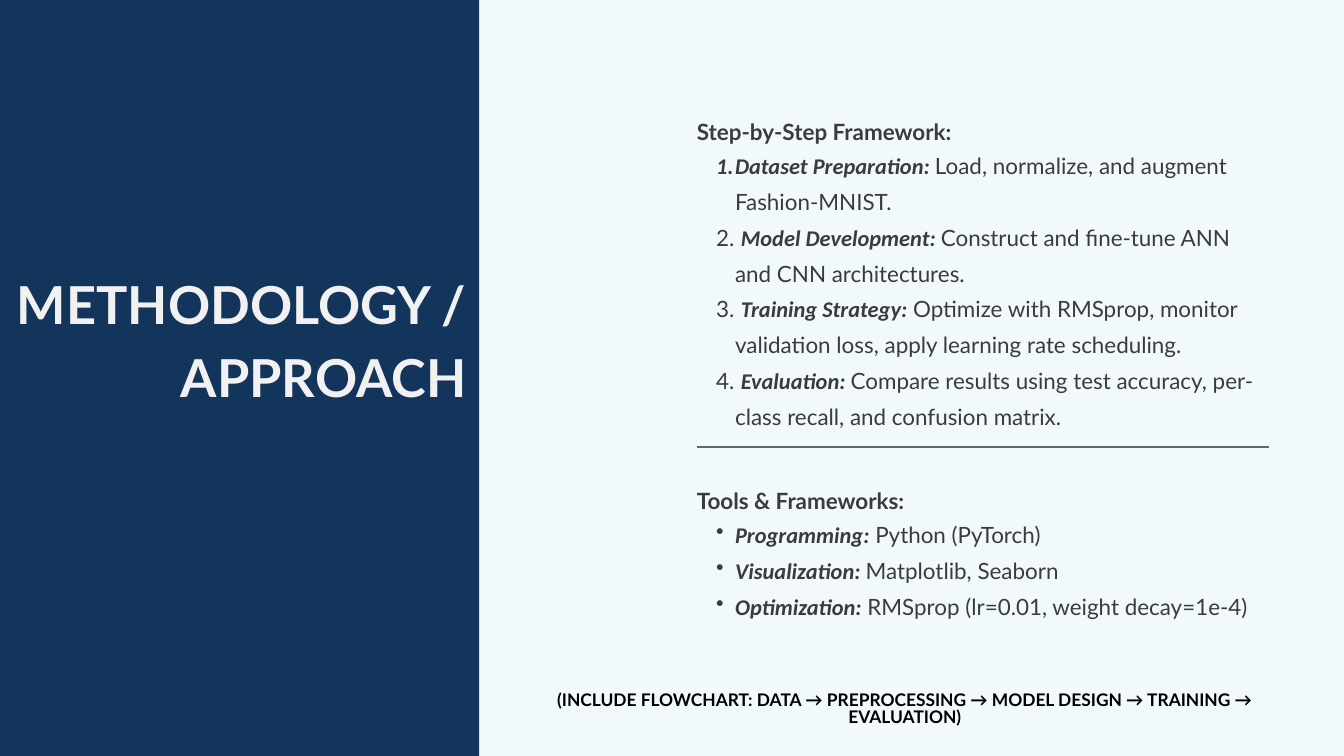
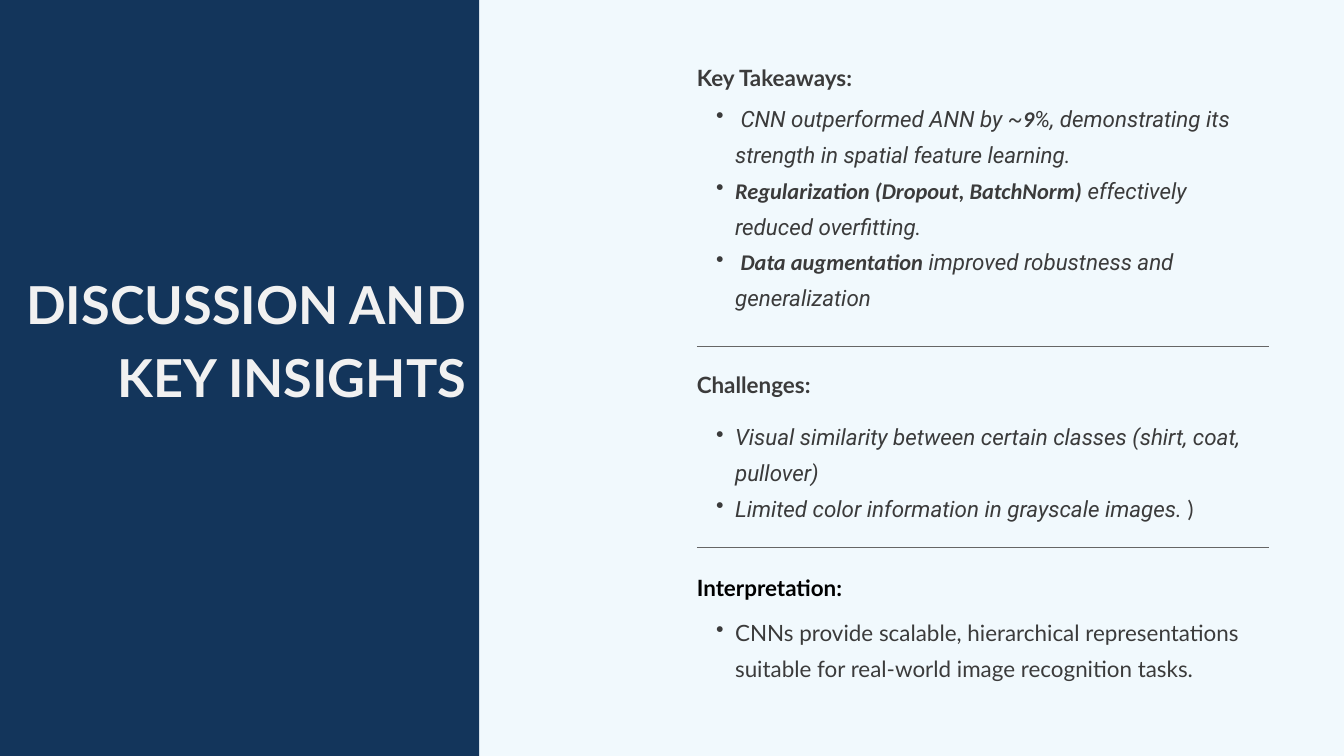
from lxml import etree
from pptx import Presentation
from pptx.dml.color import RGBColor
from pptx.enum import shapes, text
from pptx.oxml import ns
from pptx.util import Pt

PAPER, NAVY, PALE = "F1F9FD", "13355B", "F1F1F1"
INK, RULE, BLACK = "3B3B3B", "666666", "000000"
LEFT, WIDTH, LINE = 746.6, 612.7, 38
ALIGN = text.PP_ALIGN

# Run styles: font, bold, italic
PLAIN = ("Lato", False, False)
STRONG = ("Lato", True, False)
TERM = ("Calibri", True, True)
SLANT = ("Roboto", False, True)


def rgb(color):
    return RGBColor.from_string(color)


def add_run(p, content, style=PLAIN, size=24, color=INK):
    r = p.add_run()
    r.text = content
    r.font.name, r.font.bold, r.font.italic = style
    r.font.size = Pt(size)
    r.font.color.rgb = rgb(color)


def add_marker(p, numbered):
    """Give a paragraph a hanging number or bullet."""
    p.level = 1
    pPr = p._p.get_or_add_pPr()
    pPr.set("marL", str(Pt(41)))
    pPr.set("indent", str(Pt(-20.2)))
    if numbered:
        etree.SubElement(pPr, ns.qn("a:buAutoNum"), type="arabicPeriod")
    else:
        etree.SubElement(pPr, ns.qn("a:buChar"), char="•")


class Deck:
    """Holds the presentation, its shared style and the current slide."""

    def __init__(self):
        self.prs = Presentation()
        self.prs.slide_width, self.prs.slide_height = Pt(1440), Pt(810)
        self.s = None

    def slide(self, title):
        self.s = self.prs.slides.add_slide(self.prs.slide_layouts[6])
        fill = self.s.background.fill
        fill.solid()
        fill.fore_color.rgb = rgb(PAPER)
        self.panel()
        self.label(title, 0, 280.8, 499.7, 154, size=56, color=PALE,
                   spacing=78.4, align=ALIGN.RIGHT)

    def panel(self):
        sp = self.s.shapes.add_shape(shapes.MSO_SHAPE.RECTANGLE, 0, 0, Pt(513.4), Pt(810))
        sp.shadow.inherit = False
        sp.fill.solid()
        sp.fill.fore_color.rgb = rgb(NAVY)
        sp.line.fill.background()

    def frame(self, x, y, w, h):
        tf = self.s.shapes.add_textbox(Pt(x), Pt(y), Pt(w), Pt(h)).text_frame
        tf.margin_left = tf.margin_right = tf.margin_top = tf.margin_bottom = 0
        tf.word_wrap = True
        return tf

    def label(self, content, x, y, w, h, size=24, color=INK, spacing=38.4, align=ALIGN.LEFT):
        p = self.frame(x, y, w, h).paragraphs[0]
        p.alignment = align
        p.line_spacing = Pt(spacing)
        add_run(p, content, STRONG, size, color)

    def heading(self, content, y, **fmt):
        self.label(content, LEFT, y, WIDTH, LINE, **fmt)

    def items(self, y, lines, items, numbered=False):
        """Add a list; each item is a list of (text, style) runs."""
        tf = self.frame(LEFT, y, WIDTH, lines * LINE)
        for i, runs in enumerate(items):
            p = tf.add_paragraph() if i else tf.paragraphs[0]
            add_marker(p, numbered)
            p.line_spacing = Pt(38.4)
            for content, style in runs:
                add_run(p, content, style)

    def rule(self, y):
        c = self.s.shapes.add_connector(shapes.MSO_CONNECTOR.STRAIGHT,
                                        Pt(LEFT), Pt(y), Pt(LEFT + WIDTH), Pt(y))
        c.line.color.rgb = rgb(RULE)
        c.line.width = Pt(1.5)
        etree.SubElement(c._element.spPr, ns.qn("a:effectLst"))


def methodology(d):
    d.slide("METHODOLOGY / APPROACH")
    d.heading("Step-by-Step Framework:", 117.4)
    d.items(153.4, 8, [
        [("Dataset Preparation: ", TERM),
         ("Load, normalize, and augment Fashion-MNIST.", PLAIN)],
        [(" ", PLAIN), ("Model Development: ", TERM),
         ("Construct and fine-tune ANN and CNN architectures.", PLAIN)],
        [(" ", PLAIN), ("Training Strategy:", TERM),
         (" Optimize with RMSprop, monitor validation loss, apply learning rate scheduling.",
          PLAIN)],
        [(" ", PLAIN), ("Evaluation: ", TERM),
         ("Compare results using test accuracy, per-class recall, and confusion matrix.",
          PLAIN)],
    ], numbered=True)
    d.rule(478.8)
    d.heading("Tools & Frameworks:", 512.6)
    d.items(548.6, 3, [
        [("Programming:", TERM), (" Python (PyTorch)", PLAIN)],
        [("Visualization: ", TERM), ("Matplotlib, Seaborn", PLAIN)],
        [("Optimization:", TERM), (" RMSprop (lr=0.01, weight decay=1e-4)", PLAIN)],
    ])
    d.label("(INCLUDE FLOWCHART: DATA → PREPROCESSING → MODEL DESIGN → TRAINING → EVALUATION)",
            536.4, 741.6, 866.2, 19.4, size=18.6, color=BLACK, spacing=18.6,
            align=ALIGN.CENTER)


def discussion(d):
    d.slide("DISCUSSION AND KEY INSIGHTS")
    d.heading("Key Takeaways:", 59)
    d.items(103, 6, [
        [(" CNN outperformed ANN by ~", SLANT), ("9", TERM),
         ("%, demonstrating its strength in spatial feature learning.", SLANT)],
        [("Regularization (Dropout, BatchNorm)", TERM),
         (" effectively reduced overfitting.", SLANT)],
        [(" ", SLANT), ("Data augmentation", TERM),
         (" improved robustness and generalization", SLANT)],
    ])
    d.rule(371.5)
    d.heading("Challenges:", 388.1)
    d.items(444.2, 3, [
        [("Visual similarity between certain classes (shirt, coat, pullover)", SLANT)],
        [("Limited color information in grayscale images. ", SLANT), (")", PLAIN)],
    ])
    d.rule(586.8)
    d.heading("Interpretation:", 610.6, color=BLACK, spacing=33.6)
    d.items(653.8, 2, [
        [("CNNs provide scalable, hierarchical representations suitable for "
          "real-world image recognition tasks.", PLAIN)],
    ])


def main():
    d = Deck()
    methodology(d)
    discussion(d)
    d.prs.save("out.pptx")


if __name__ == "__main__":
    main()
